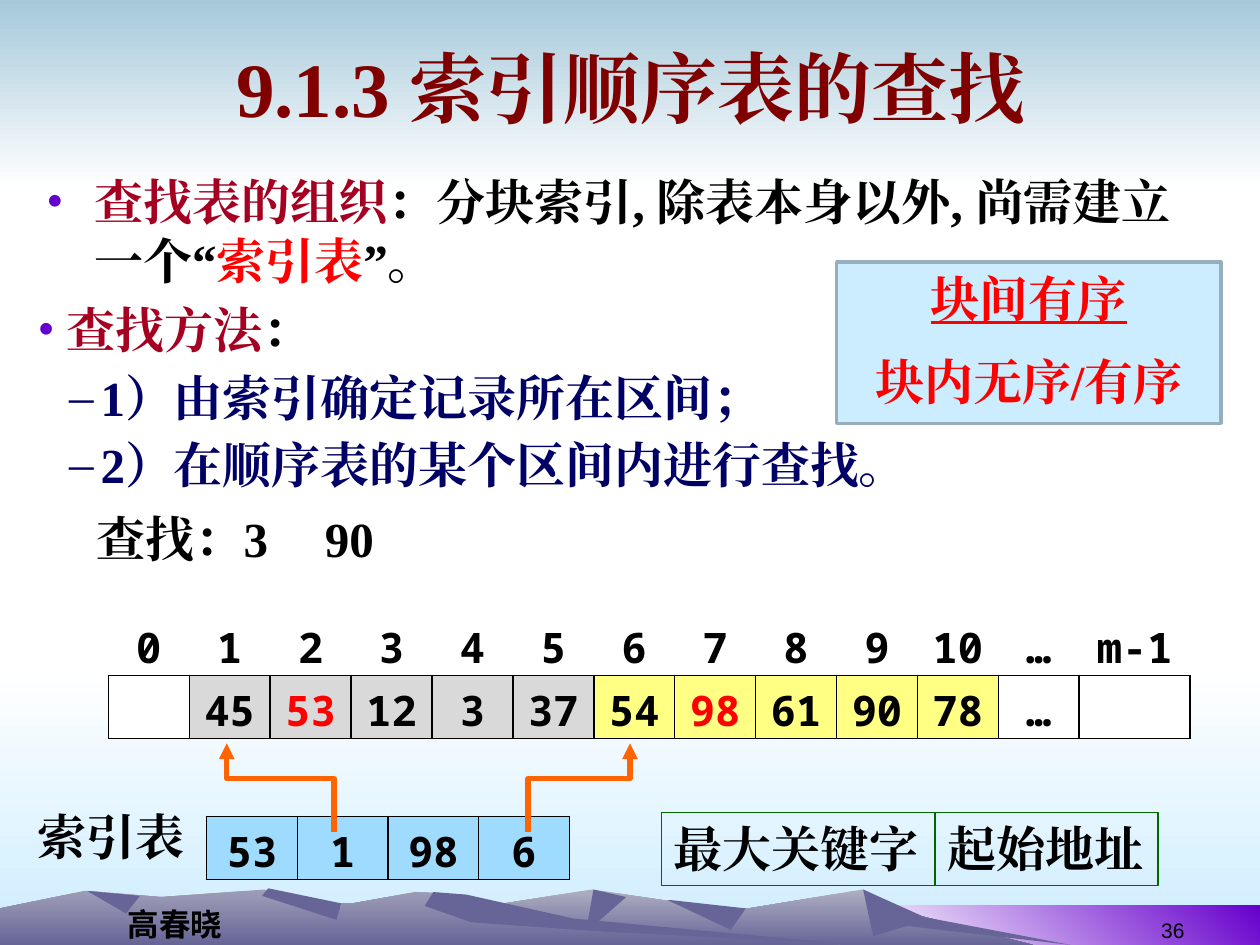
import pptx
import pptx.dml.color
import pptx.enum.shapes
import pptx.enum.text
import pptx.oxml
import pptx.oxml.ns
import pptx.util
from pptx.util import Inches

SERIF, MONO, CJK = "Times New Roman", "Noto Sans Mono", "Noto Sans CJK SC"
LEFT, CENTER, RIGHT = (pptx.enum.text.PP_ALIGN.LEFT, pptx.enum.text.PP_ALIGN.CENTER,
                       pptx.enum.text.PP_ALIGN.RIGHT)
PLAIN_TABLE = "{2D5ABB26-0587-4C30-8999-92F81FD0307C}"
RIDGES = [
    ("AEAEC2", [(2.6, .5), (3.5, .25), (4.7, .06), (5.3, .15), (5.7, .25), (6.85, .06), (7.23, .25), (8.2, .5)]),
    ("676597", [(6.85, .06), (7.34, .28), (8.5, .5), (7.2, .35), (6.93, .43)]),
    ("676597", [(4.71, .06), (4.65, .4), (4.97, .12)]),
    ("676597", [(5.29, .14), (5.8, .38), (5.92, .21)]),
    ("9F9EB8", [(0, .5), (0, .21), (.68, .07), (1.28, .12), (2.1, .06), (2.36, .17), (2.8, .17),
                (3.3, .08), (3.54, .09), (4.32, .32), (6.67, .5)]),
    ("676597", [(2.13, .05), (2.08, .11), (2.67, .3), (2.71, .17)]),
    ("676597", [(3.44, .08), (3.37, .19), (3.74, .32), (4.72, .39), (6.8, .5), (4.55, .29), (3.7, .1)]),
    ("676597", [(.69, .07), (1, .25), (1.11, .11)]),
]


def color(value):
    """Turn a hex string into a colour."""
    return pptx.dml.color.RGBColor.from_string(value)


def add_runs(paragraph, runs, size=28, font=SERIF, bold=True, align=LEFT, underline=None):
    """Add (text, colour) runs to a paragraph."""
    paragraph.alignment = align
    for text, value in runs:
        run = paragraph.add_run()
        run.text = text
        run.font.size = pptx.util.Pt(size)
        run.font.name = font
        run.font.bold = bold
        run.font.underline = underline
        run.font.color.rgb = color(value)
        east_asian = pptx.oxml.ns.qn("a:ea")
        run.font._element.find(pptx.oxml.ns.qn("a:latin")).addnext(
            run.font._element.makeelement(east_asian, {"typeface": font}))


def add_bullet(paragraph, mark, margin, hang, value):
    """Give a paragraph a hanging bullet."""
    properties = paragraph._p.get_or_add_pPr()
    properties.set("marL", str(Inches(margin)))
    properties.set("indent", str(-Inches(hang)))
    space = pptx.oxml.ns.nsdecls("a")
    for xml in (f'<a:buClr {space}><a:srgbClr val="{value}"/></a:buClr>',
                f'<a:buFont {space} typeface="{SERIF}"/>', f'<a:buChar {space} char="{mark}"/>'):
        properties.append(pptx.oxml.parse_xml(xml))


def text_box(slide, left, top, width, height, runs=(), wrap=False, **style):
    """Place a text box and fill its first paragraph."""
    shape = slide.shapes.add_textbox(Inches(left), Inches(top), Inches(width), Inches(height))
    shape.text_frame.word_wrap = wrap
    add_runs(shape.text_frame.paragraphs[0], runs, **style)
    return shape.text_frame


def panel(slide, left, top, width, height, fill=None, line=None, weight=0.75):
    """Place a flat rectangle with text starting at its top."""
    shape = slide.shapes.add_shape(pptx.enum.shapes.MSO_SHAPE.RECTANGLE, Inches(left), Inches(top),
                                   Inches(width), Inches(height))
    shape.shadow.inherit = False
    shape.fill.background()
    shape.line.fill.background()
    if fill:
        shape.fill.solid()
        shape.fill.fore_color.rgb = color(fill)
    if line:
        shape.line.color.rgb = color(line)
        shape.line.width = pptx.util.Pt(weight)
    shape.text_frame.vertical_anchor = pptx.enum.text.MSO_ANCHOR.TOP
    return shape


def fade(shape, first, last, angle=270):
    """Fill a shape with a two-colour gradient."""
    shape.fill.gradient()
    shape.fill.gradient_angle = angle
    for stop, value in zip(shape.fill.gradient_stops, (first, last)):
        stop.color.rgb = color(value)


def outline(slide, left, top, points, close):
    """Build a free outline from points relative to a corner."""
    places = [(Inches(left + x), Inches(top + y)) for x, y in points]
    builder = slide.shapes.build_freeform(*places[0])
    builder.add_line_segments(places[1:], close=close)
    shape = builder.convert_to_shape()
    shape.shadow.inherit = False
    return shape


def draw_scenery(slide, left, top, width, height):
    """Draw the sky, the ground band and the mountain ridges."""
    fade(panel(slide, left, top + 5.33, width, height - 5.33), "FFFFFF", "CCECFF")
    fade(panel(slide, left, top, width, 1.5), "A6C9DA", "FFFFFF")
    fade(panel(slide, left + 6.83, top + 7.19, width - 6.83, height - 7.19), "FFFFFF", "6600CC", 45)
    for value, points in RIDGES:
        ridge = outline(slide, left, top + height - 0.5, points, True)
        ridge.line.fill.background()
        fade(ridge, value, "676597")


def place_title(slide, left, top, width, height):
    """Move and format the title in front of the scenery."""
    title = slide.shapes.title
    title._element.getparent().append(title._element)
    title.left, title.top, title.width, title.height = map(Inches, (left, top, width, height))
    title.text_frame.vertical_anchor = pptx.enum.text.MSO_ANCHOR.MIDDLE
    add_runs(title.text_frame.paragraphs[0], [("9.1.3 索引顺序表的查找", "800000")], size=44, align=CENTER)


def draw_outline_text(slide, left, top, width):
    """Write the organisation and method points."""
    frame = text_box(slide, left + 0.07, top, width, 1.1, wrap=True)
    add_bullet(frame.paragraphs[0], "•", 0.38, 0.38, "6600CC")
    add_runs(frame.paragraphs[0], [("查找表的组织", "A50021"), ("：分块索引, 除表本身以外, 尚需建立一个“", "000000"),
                                   ("索引表", "FF0000"), ("”。", "000000")])
    frame = text_box(slide, left, top + 1.02, 8.98, 1.69, wrap=True)
    add_bullet(frame.paragraphs[0], "•", 0.23, 0.23, "6600CC")
    add_runs(frame.paragraphs[0], [("查找方法", "A50021"), ("：", "000000")])
    for step in ("1）由索引确定记录所在区间；", "2）在顺序表的某个区间内进行查找。"):
        paragraph = frame.add_paragraph()
        paragraph.level = 1
        paragraph.space_before = pptx.util.Pt(5)
        add_bullet(paragraph, "–", 0.5, 0.25, "000066")
        add_runs(paragraph, [(step, "000066")])
    text_box(slide, left + 0.47, top + 2.68, 3.15, 0.57, [("查找：3", "000000")], wrap=True)
    text_box(slide, left + 2.28, top + 2.68, 0.59, 0.57, [("90", "000000")])


def draw_order_note(slide, left, top, width, height):
    """Draw the note on order between and within blocks."""
    frame = panel(slide, left, top, width, height, "CCECFF", "97AFBD", 2).text_frame
    frame.word_wrap = True
    add_runs(frame.paragraphs[0], [("块间有序", "FF0000")], align=CENTER, underline=True)
    paragraph = frame.add_paragraph()
    paragraph.space_before = pptx.util.Pt(14)
    add_runs(paragraph, [("块内无序/有序", "FF0000")], align=CENTER)


def fill_cell(cell, text, fill, value="000000"):
    """Write one table cell, bordered when it has a fill."""
    add_runs(cell.text_frame.paragraphs[0], [(text, value)] if text else [], 24, MONO, align=CENTER)
    if not fill:
        cell.fill.background()
        return
    for side in "LRTB":
        cell._tc.get_or_add_tcPr().append(pptx.oxml.parse_xml(
            f'<a:ln{side} {pptx.oxml.ns.nsdecls("a")} w="12700"><a:solidFill>'
            f'<a:srgbClr val="000000"/></a:solidFill></a:ln{side}>'))
    cell.fill.solid()
    cell.fill.fore_color.rgb = color(fill)


def make_table(slide, left, top, widths, rows):
    """Place an unstyled table with the given column widths."""
    table = slide.shapes.add_table(rows, len(widths), Inches(left), Inches(top),
                                   Inches(sum(widths)), Inches(0.5 * rows)).table
    table.first_row = table.horz_banding = False
    table._tbl.tblPr[0].text = PLAIN_TABLE
    for column, width in zip(table.columns, widths):
        column.width = Inches(width)
    return table


def draw_records(slide, left, top, width):
    """Draw the numbered record table with its two blocks."""
    last = 0.88
    table = make_table(slide, left, top, [(width - last) / 12] * 12 + [last], 2)
    values = ["", *"45 53 12 3 37 54 98 61 90 78 …".split(), ""]
    fills = ["FFFFFF"] + ["D9D9D9"] * 5 + ["FFFF84"] * 5 + ["FFFFFF"] * 2
    labels = [str(number) for number in range(11)] + ["…", "m-1"]
    for column, (label, value, fill) in enumerate(zip(labels, values, fills)):
        fill_cell(table.cell(0, column), label, None)
        fill_cell(table.cell(1, column), value, fill, "FF0000" if value in ("53", "98") else "000000")


def draw_index(slide, left, top):
    """Draw the index table, its label, its legend and its arrows."""
    text_box(slide, left, top, 1.37, 0.57, [("索引表", "000000")])
    table = make_table(slide, left + 1.44, top + 0.13, [0.72] * 4, 1)
    for column, value in enumerate(("53", "1", "98", "6")):
        fill_cell(table.cell(0, column), value, "9EDBFF")
    for x, width, label in ((5.05, 2.17, "最大关键字"), (7.22, 1.77, "起始地址")):
        frame = panel(slide, left + x, top + 0.1, width, 0.58, line="006600").text_frame
        frame.word_wrap = False
        add_runs(frame.paragraphs[0], [(label, "000000")], align=LEFT)
    for start, end in ((2.45, 1.6), (3.99, 4.8)):
        points = [(start, 0.25), (start, -0.17), (end, -0.17), (end, -0.45)]
        arrow = outline(slide, left, top, points, False)
        arrow.fill.background()
        arrow.line.color.rgb = color("FF6400")
        arrow.line.width = pptx.util.Pt(3)
        arrow.line._get_or_add_ln().append(pptx.oxml.parse_xml(
            f'<a:tailEnd {pptx.oxml.ns.nsdecls("a")} type="triangle"/>'))


def draw_footer(slide, left, top, width):
    """Write the author and the page number."""
    text_box(slide, left, top + 0.1, 0.96, 0.4, [("高春晓", "000000")], size=18, font=CJK, align=CENTER)
    frame = text_box(slide, left + width - 2.33, top, 2.33, 0.5, [("36", "000000")], wrap=True,
                     size=12, font="Arial", bold=False, align=RIGHT)
    frame.vertical_anchor = pptx.enum.text.MSO_ANCHOR.BOTTOM


def main():
    """Build the slide and save it."""
    presentation = pptx.Presentation()
    presentation.slide_width, presentation.slide_height = Inches(10), Inches(7.5)
    slide = presentation.slides.add_slide(presentation.slide_layouts[5])
    draw_scenery(slide, 0, 0, 10, 7.5)
    place_title(slide, 0.51, 0.13, 9, 1.12)
    draw_order_note(slide, 6.64, 2.08, 3.05, 1.28)
    draw_outline_text(slide, 0.2, 1.31, 9.45)
    draw_records(slide, 0.86, 4.86, 8.59)
    draw_index(slide, 0.2, 6.35)
    draw_footer(slide, 0.91, 7.03, 8.59)
    presentation.save("out.pptx")


if __name__ == "__main__":
    main()
